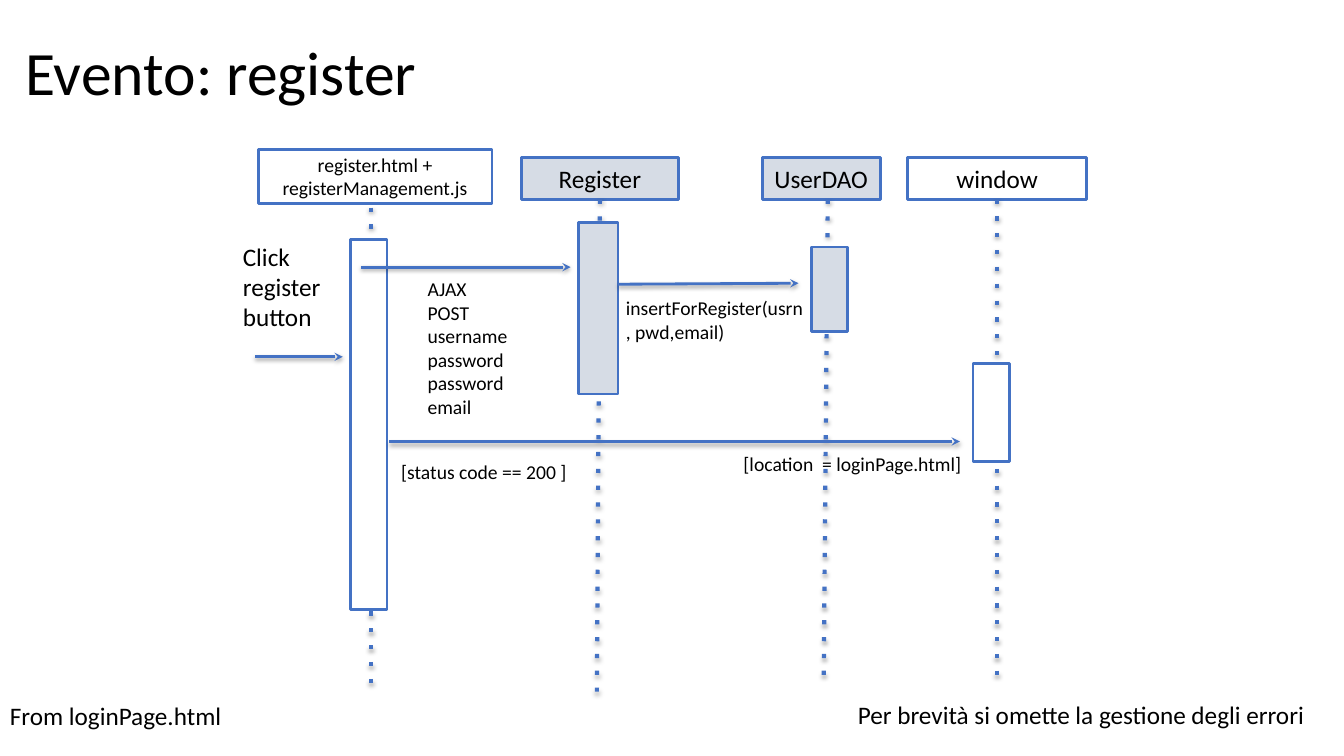
from dataclasses import dataclass

from lxml import etree
from pptx import Presentation
from pptx.dml.color import RGBColor
from pptx.enum.shapes import MSO_CONNECTOR, MSO_SHAPE
from pptx.enum.text import MSO_ANCHOR, MSO_AUTO_SIZE, PP_ALIGN
from pptx.oxml.ns import qn
from pptx.util import Inches, Pt

BLUE = RGBColor(0x44, 0x72, 0xC4)
GREY = RGBColor(0xD6, 0xDC, 0xE5)
WHITE = RGBColor(0xFF, 0xFF, 0xFF)
BLACK = RGBColor(0, 0, 0)
LEFT, CENTER = PP_ALIGN.LEFT, PP_ALIGN.CENTER
TOP, MIDDLE = MSO_ANCHOR.TOP, MSO_ANCHOR.MIDDLE
NO_FIT = MSO_AUTO_SIZE.NONE
RECT, STRAIGHT = MSO_SHAPE.RECTANGLE, MSO_CONNECTOR.STRAIGHT
BOTTOM = 2
WIDE = (0.12, 0.06)
SLIM = (0.1, 0.05)


@dataclass
class Box:
    x: float
    y: float
    w: float
    h: float
    fill: RGBColor = WHITE


@dataclass
class Actor:
    """A head box, its lifeline and its activation bar."""
    name: str
    size: int
    head: Box
    start: tuple[float, float]
    end: tuple[float, float]
    bar: Box
    joined: bool = False


@dataclass
class Label:
    box: Box
    lines: list[str]
    size: int = 14
    align: PP_ALIGN = LEFT
    inset: tuple[float, float] = WIDE


ACTORS = [
    Actor("register.html + registerManagement.js", 14, Box(2.56, 1.48, 2.32, 0.54),
          (3.68, 2.06), (3.68, 6.89), Box(3.48, 2.38, 0.36, 3.67)),
    Actor("Register", 18, Box(5.17, 1.56, 1.56, 0.42, GREY),
          (5.95, 1.98), (5.92, 6.89), Box(5.74, 2.21, 0.39, 1.7, GREY), True),
    Actor("UserDAO", 18, Box(7.56, 1.56, 1.17, 0.42, GREY),
          (8.21, 1.98), (8.17, 6.73), Box(8.05, 2.45, 0.36, 0.84, GREY)),
    Actor("window", 18, Box(9, 1.56, 1.78, 0.42),
          (9.89, 1.98), (9.89, 6.73), Box(9.65, 3.61, 0.36, 0.97), True),
]

CALLS = [
    ((3.58, 2.65), (5.66, 2.65)),
    ((6.13, 2.82), (7.92, 2.81)),
    ((2.53, 3.54), (3.4, 3.54)),
    ((3.86, 4.38), (9.52, 4.38)),
]

LABELS = [
    Label(Box(2.31, 2.34, 1.15, 1.01), ["Click", "register", "button"], 18, inset=SLIM),
    Label(Box(4.12, 2.69, 1.08, 1.15),
          ["AJAX POST username password", "password", "email"]),
    Label(Box(6.11, 2.89, 2, 0.88), ["insertForRegister(usrn, pwd,email)"], inset=SLIM),
    Label(Box(3.68, 4.5, 2.24, 0.37), ["[status code == 200 ]"], align=CENTER),
    Label(Box(7.15, 4.42, 2.61, 0.33), ["[location  = loginPage.html]"], align=CENTER),
    Label(Box(0, 6.9, 6.66, 0.4), ["From loginPage.html"], 18, inset=SLIM),
    Label(Box(8.41, 6.89, 4.93, 0.4),
          ["Per brevità si omette la gestione degli errori"], 18, inset=SLIM),
]


def area(box: Box) -> list[int]:
    return [Inches(v) for v in (box.x, box.y, box.w, box.h)]


def write(shape, lines: list[str], size: int, align=LEFT, anchor=TOP, inset=WIDE) -> None:
    frame = shape.text_frame
    side, edge = (Inches(v) for v in inset)
    style = {"word_wrap": True, "auto_size": NO_FIT, "vertical_anchor": anchor,
             "margin_left": side, "margin_right": side,
             "margin_top": edge, "margin_bottom": edge}
    for key, value in style.items():
        setattr(frame, key, value)
    frame.text = "\n".join(lines)
    for para in frame.paragraphs:
        para.alignment = align
        for key, value in {"name": "Calibri", "size": Pt(size)}.items():
            setattr(para.font, key, value)
        para.font.color.rgb = BLACK


def draw_rect(slide, box: Box):
    rect = slide.shapes.add_shape(RECT, *area(box))
    rect.shadow.inherit = False
    rect.fill.solid()
    rect.fill.fore_color.rgb = box.fill
    rect.line.color.rgb = BLUE
    rect.line.width = Pt(2)
    return rect


def draw_line(slide, start: tuple[float, float], end: tuple[float, float],
              width: float, mark: str, kind: dict[str, str],
              dist: float, alpha: int):
    line = slide.shapes.add_connector(STRAIGHT, *(Inches(v) for v in start + end))
    line.line.color.rgb = BLUE
    line.line.width = Pt(width)
    etree.SubElement(line.line._get_or_add_ln(), qn(mark), kind)
    # Soft shadow below the line
    effect = etree.SubElement(line._element.spPr, qn("a:effectLst"))
    shade = etree.SubElement(effect, qn("a:outerShdw"), {
        "blurRad": str(Pt(3.1)), "dist": str(Pt(dist)),
        "dir": "5400000", "rotWithShape": "0"})
    tint = etree.SubElement(shade, qn("a:srgbClr"), val=str(BLACK))
    etree.SubElement(tint, qn("a:alpha"), val=str(alpha * 1000))
    return line


def main() -> None:
    deck = Presentation()
    deck.slide_width, deck.slide_height = Inches(13.33), Inches(7.5)
    slide = deck.slides.add_slide(deck.slide_layouts[5])

    # Title
    title = slide.shapes.title
    title.left, title.top, title.width, title.height = area(Box(0.13, 0.2, 9.75, 1.1))
    write(title, ["Evento: register"], 44, anchor=MIDDLE)
    title.text_frame.paragraphs[0].line_spacing = 0.9

    # Actors with lifelines and activation bars
    for actor in ACTORS:
        head = draw_rect(slide, actor.head)
        write(head, [actor.name], actor.size, CENTER, MIDDLE)
        life = draw_line(slide, actor.start, actor.end, 3,
                         "a:prstDash", {"val": "dot"}, 1.8, 35)
        if actor.joined:
            life.begin_connect(head, BOTTOM)
        draw_rect(slide, actor.bar)

    # Calls between actors
    for start, end in CALLS:
        draw_line(slide, start, end, 2, "a:tailEnd", {"type": "stealth"}, 1.6, 38)

    # Labels and notes
    for label in LABELS:
        text = slide.shapes.add_textbox(*area(label.box))
        write(text, label.lines, label.size, label.align, inset=label.inset)

    deck.save("out.pptx")


if __name__ == "__main__":
    main()
